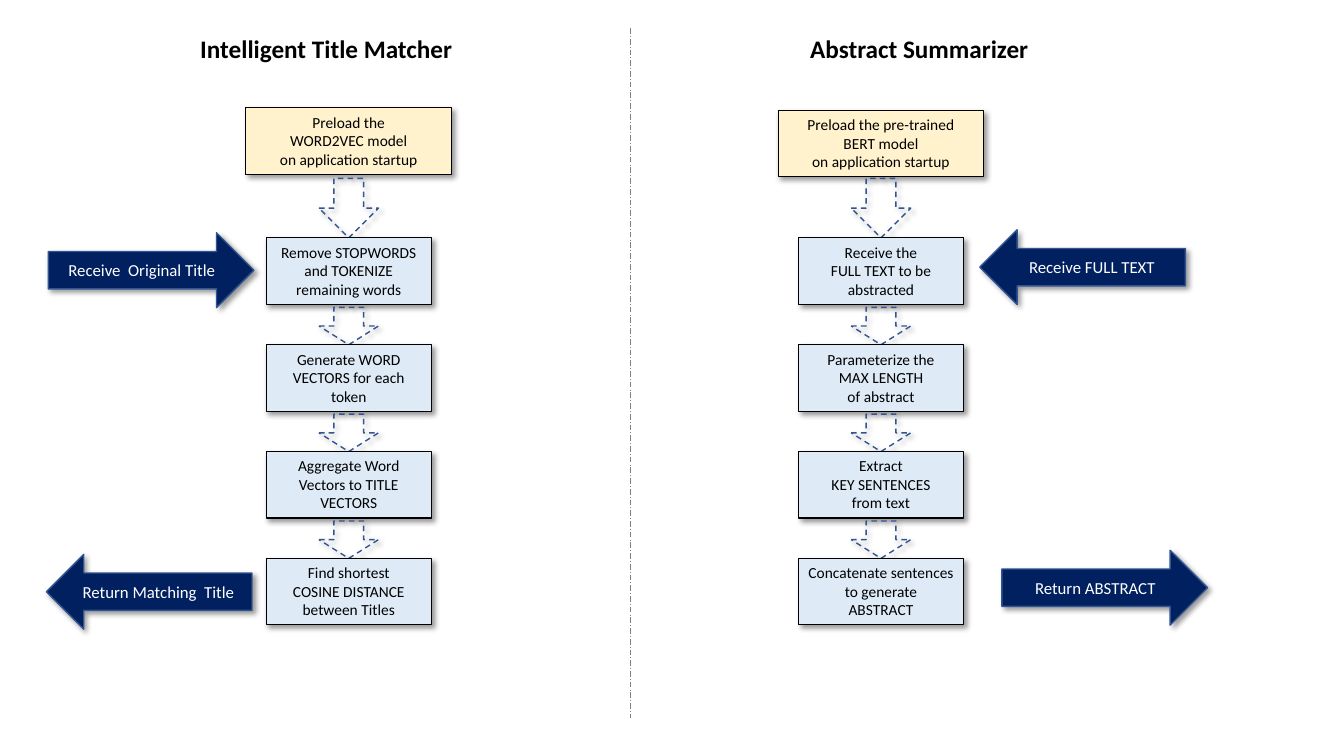
from dataclasses import dataclass

from lxml import etree
from pptx import Presentation
from pptx import util as u
from pptx.dml.color import RGBColor
from pptx.enum import dml, shapes, text
from pptx.oxml import ns

BLACK = RGBColor(0x00, 0x00, 0x00)
WHITE = RGBColor(0xFF, 0xFF, 0xFF)
GREY = RGBColor(0x80, 0x80, 0x80)
CREAM = RGBColor(0xFF, 0xF2, 0xCC)
PALE_BLUE = RGBColor(0xDE, 0xEB, 0xF7)
NAVY = RGBColor(0x00, 0x20, 0x60)
STEEL = RGBColor(0x32, 0x54, 0x91)

FONT = "Calibri"
RECT = shapes.MSO_SHAPE.RECTANGLE
RIGHT = shapes.MSO_SHAPE.RIGHT_ARROW
LEFT = shapes.MSO_SHAPE.LEFT_ARROW
DOWN = shapes.MSO_SHAPE.DOWN_ARROW

WIDE, NARROW, ARROW_W = 15.3, 12.3, 4.43
BOX_H, BLOCK_H = 8.8, 9.9
LONG_ARROW_H, SHORT_ARROW_H = 7.87, 4.95
STEP_TOP, STEP_PITCH = 31.47, 14.13
HEAD_TOP, HEAD_W, HEAD_H = 3.73, 30, 5.33
DIVIDER_X, DIVIDER_BOTTOM = 46.88, 94.93

prs = Presentation()
prs.slide_width, prs.slide_height = u.Inches(13.33), u.Inches(7.5)
COL, ROW = prs.slide_width / 100, prs.slide_height / 100


@dataclass
class Box:
    x: float
    y: float
    w: float
    h: float

    def emu(self) -> tuple[int, ...]:
        return (round(self.x * COL), round(self.y * ROW),
                round(self.w * COL), round(self.h * ROW))


@dataclass
class BlockArrow:
    kind: shapes.MSO_SHAPE
    x: float
    y: float
    label: str


@dataclass
class Flow:
    heading: str
    heading_x: float
    centre: float
    preload_top: float
    preload: str
    steps: list[str]
    arrows: list[BlockArrow]


FLOWS = [
    Flow("Intelligent Title Matcher", 24.28, 25.95, 14.27,
         "Preload the\nWORD2VEC model\non application startup",
         ["Remove STOPWORDS and TOKENIZE remaining words",
          "Generate WORD VECTORS for each token",
          "Aggregate Word Vectors to TITLE VECTORS",
          "Find shortest\nCOSINE DISTANCE between Titles"],
         [BlockArrow(RIGHT, 3.6, 30.8, "Receive  Original Title"),
          BlockArrow(LEFT, 3.45, 73.33, "Return Matching  Title")]),
    Flow("Abstract Summarizer", 68.4, 65.55, 14.6,
         "Preload the pre-trained\nBERT model\non application startup",
         ["Receive the\nFULL TEXT to be abstracted",
          "Parameterize the\nMAX LENGTH\nof abstract",
          "Extract\nKEY SENTENCES\nfrom text",
          "Concatenate sentences to generate\nABSTRACT"],
         [BlockArrow(LEFT, 72.9, 30.4, "Receive FULL TEXT"),
          BlockArrow(RIGHT, 74.55, 72.8, "Return ABSTRACT")]),
]


def write(sp, content: str, *, size: float, color: RGBColor = BLACK,
          bold: bool = False, anchor=text.MSO_ANCHOR.MIDDLE) -> None:
    tf = sp.text_frame
    tf.word_wrap = True
    tf.auto_size = text.MSO_AUTO_SIZE.NONE
    tf.vertical_anchor = anchor
    for i, line in enumerate(content.split("\n")):
        p = tf.add_paragraph() if i else tf.paragraphs[0]
        p.alignment = text.PP_ALIGN.CENTER
        p.space_before = u.Pt(0)
        r = p.add_run()
        r.text = line
        r.font.name, r.font.size, r.font.bold = FONT, u.Pt(size), bold
        r.font.color.rgb = color


def add_shadow(sp) -> None:
    sp.shadow.inherit = False
    effects = sp._element.spPr.find(ns.qn("a:effectLst"))
    shadow = etree.SubElement(effects, ns.qn("a:outerShdw"),
                              blurRad=str(u.Pt(4)), dist=str(u.Pt(3)),
                              dir="2700000", algn="tl", rotWithShape="0")
    tint = etree.SubElement(shadow, ns.qn("a:srgbClr"), val=str(BLACK))
    etree.SubElement(tint, ns.qn("a:alpha"), val="40000")


def add_figure(s, kind: shapes.MSO_SHAPE, box: Box, line: RGBColor,
               weight: float, fill: RGBColor | None = None):
    sp = s.shapes.add_shape(kind, *box.emu())
    if fill is None:
        sp.fill.background()
    else:
        sp.fill.solid()
        sp.fill.fore_color.rgb = fill
    sp.line.color.rgb = line
    sp.line.width = u.Pt(weight)
    add_shadow(sp)
    return sp


def add_step(s, centre: float, top: float, width: float,
             fill: RGBColor, label: str) -> None:
    box = Box(centre - width / 2, top, width, BOX_H)
    sp = add_figure(s, RECT, box, BLACK, 0.75, fill)
    write(sp, label, size=11, anchor=text.MSO_ANCHOR.TOP)


def add_down_arrow(s, centre: float, bottom: float, height: float) -> None:
    box = Box(centre - ARROW_W / 2, bottom - height, ARROW_W, height)
    sp = add_figure(s, DOWN, box, STEEL, 1)
    sp.line.dash_style = dml.MSO_LINE.DASH


def add_heading(sp, flow: Flow) -> None:
    box = Box(flow.heading_x - HEAD_W / 2, HEAD_TOP, HEAD_W, HEAD_H)
    sp.left, sp.top, sp.width, sp.height = box.emu()
    write(sp, flow.heading, size=18, bold=True)


def add_flow(s, flow: Flow) -> None:
    add_step(s, flow.centre, flow.preload_top, WIDE, CREAM, flow.preload)
    for i, label in enumerate(flow.steps):
        top = STEP_TOP + i * STEP_PITCH
        add_down_arrow(s, flow.centre, top,
                       SHORT_ARROW_H if i else LONG_ARROW_H)
        add_step(s, flow.centre, top, NARROW, PALE_BLUE, label)
    for arrow in flow.arrows:
        box = Box(arrow.x, arrow.y, WIDE, BLOCK_H)
        sp = add_figure(s, arrow.kind, box, STEEL, 1, NAVY)
        write(sp, arrow.label, size=12, color=WHITE)


def add_divider(s) -> None:
    x = round(DIVIDER_X * COL)
    line = s.shapes.add_connector(shapes.MSO_CONNECTOR.STRAIGHT,
                                  x, round(HEAD_TOP * ROW),
                                  x, round(DIVIDER_BOTTOM * ROW))
    line.line.color.rgb = GREY
    line.line.width = u.Pt(0.5)
    line.line.dash_style = dml.MSO_LINE.LONG_DASH_DOT
    etree.SubElement(line._element.spPr, ns.qn("a:effectLst"))


def main() -> None:
    s = prs.slides.add_slide(prs.slide_layouts.get_by_name("Comparison"))
    title, body, *unused = s.placeholders
    for sp in unused:
        sp.element.getparent().remove(sp.element)
    add_divider(s)
    for sp, flow in zip((title, body), FLOWS):
        add_heading(sp, flow)
        add_flow(s, flow)
    prs.save("out.pptx")


if __name__ == "__main__":
    main()
